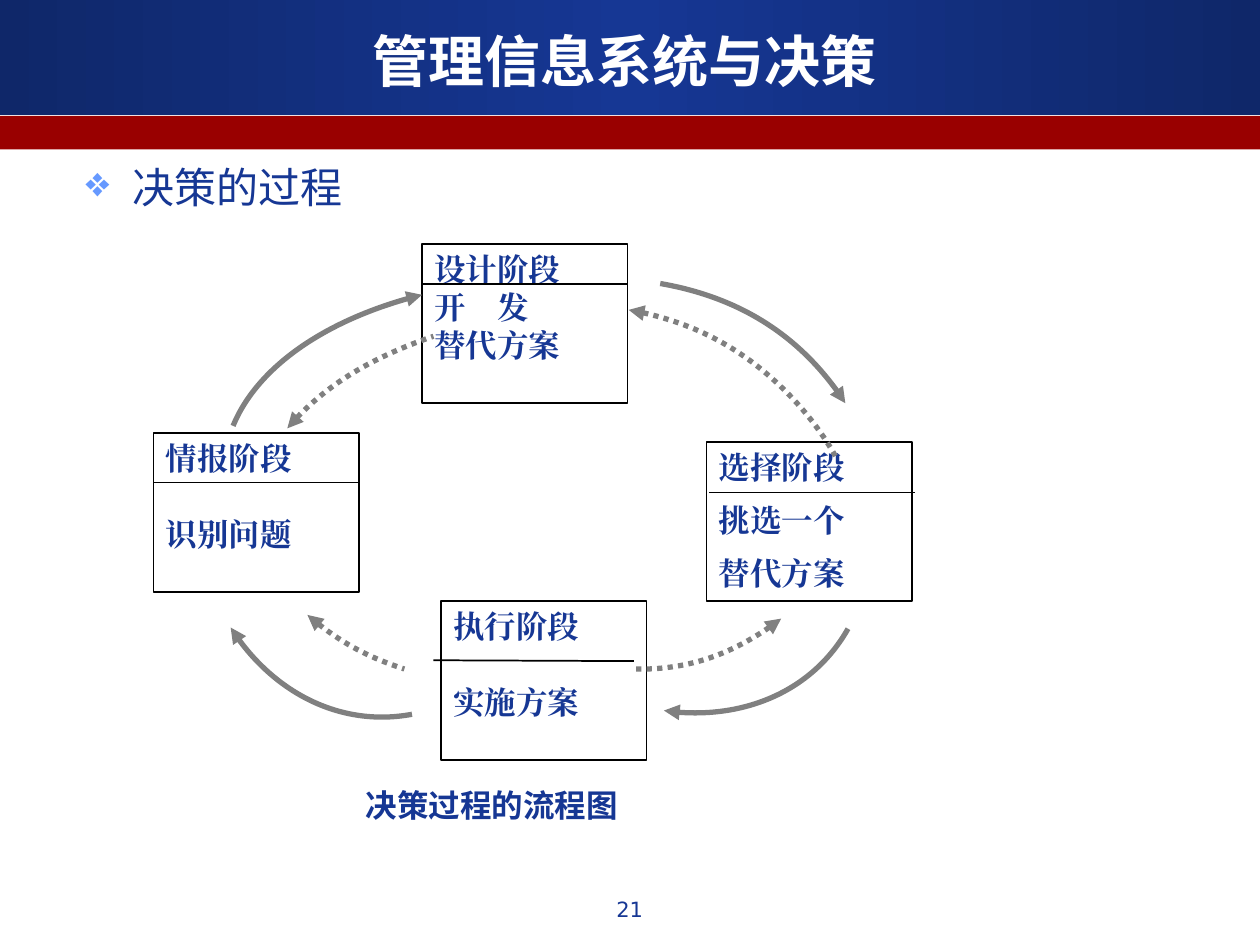
from lxml.etree import SubElement
from pptx import Presentation
from pptx.dml.color import RGBColor
from pptx.enum.dml import MSO_LINE
from pptx.enum.shapes import MSO_CONNECTOR, MSO_SHAPE
from pptx.enum.text import MSO_ANCHOR, PP_ALIGN
from pptx.oxml.ns import qn
from pptx.util import Pt

COLORS = {
    "navy": "163794",
    "red": "990000",
    "bullet": "6699FF",
    "white": "FFFFFF",
    "black": "000000",
    "arrow": "808080",
}
BOX_WIDTH, BOX_HEIGHT = 117.4, 90.7
BLANK_LINE = 21.5

STAGES = [
    (87.8, 247.5, [("情报阶段", {}), ("识别问题", {"space_before": BLANK_LINE})]),
    (241.2, 139.5, [("设计阶段", {}), ("开　发", {}), ("替代方案", {})]),
    (403.7, 252.7, [("选择阶段", {}), ("挑选一个", {"line_spacing": 1.4}),
                    ("替代方案", {"line_spacing": 1.4})]),
    (252, 343.5, [("执行阶段", {}), ("实施方案", {"space_before": BLANK_LINE})]),
]
DIVIDERS = [
    (87.8, 275.7, 205.2, 275.7),
    (241.2, 162.2, 358.6, 162.2),
    (405.4, 281.4, 522.7, 281.4),
    (247.7, 377.3, 362.2, 377.8),
]
SOLID_ARROWS = [
    [(241.2, 168.5), (188.6, 181.4), (146.9, 210.2), (133.2, 243.4)],
    [(483.1, 230.4), (460.1, 194.4), (422.6, 169.9), (377.3, 162)],
    [(379.4, 406.1), (422.6, 412.6), (465.1, 393.8), (484.6, 359.3)],
    [(131.8, 358.6), (154.8, 395.3), (196.6, 415.4), (235.4, 408.2)],
]
DOTTED_ARROWS = [
    [(359.3, 177.1), (392.4, 182.9), (424.1, 198.7), (449.3, 223.9),
     (460.1, 234.7), (470.2, 247.7), (477.4, 260.6)],
    [(446.4, 353.5), (421.2, 373), (391.7, 383), (362.2, 382.3)],
    [(164.2, 244.8), (182.2, 223.2), (211.7, 204.5), (247.7, 192.2)],
    [(175.7, 351.4), (192.2, 365.8), (211, 375.8), (231.1, 382.3)],
]


def rgb(name):
    """Return the named colour."""
    return RGBColor.from_string(COLORS[name])


def write(paragraph, text, font="Times New Roman", size=18, color="navy", bold=True,
          align=PP_ALIGN.LEFT, space_before=0, line_spacing=None, indent=0, bullet=None):
    """Put formatted text into a paragraph."""
    run = paragraph.add_run()
    run.text = text
    run.font.name = font
    run.font.size = Pt(size)
    run.font.bold = bold
    run.font.color.rgb = rgb(color)
    SubElement(run.font._element, qn("a:ea"), typeface=font)
    paragraph.alignment = align
    paragraph.space_before = Pt(space_before)
    if line_spacing:
        paragraph.line_spacing = line_spacing
    properties = paragraph._p.get_or_add_pPr()
    properties.set("marL", str(Pt(indent)))
    if bullet:
        properties.set("indent", str(-Pt(indent)))
        bullet_color = SubElement(properties, qn("a:buClr"))
        SubElement(bullet_color, qn("a:srgbClr"), val=COLORS["bullet"])
        SubElement(properties, qn("a:buChar"), char=bullet)


def add_text(slide, left, top, width, height, text, anchor=MSO_ANCHOR.TOP, **style):
    """Add a wrapping text box with one paragraph."""
    shape = slide.shapes.add_textbox(Pt(left), Pt(top), Pt(width), Pt(height))
    frame = shape.text_frame
    frame.word_wrap = True
    frame.vertical_anchor = anchor
    write(frame.paragraphs[0], text, **style)


def add_rectangle(slide, left, top, width, height, fill):
    """Add a plain rectangle without outline."""
    shape = slide.shapes.add_shape(
        MSO_SHAPE.RECTANGLE, Pt(left), Pt(top), Pt(width), Pt(height))
    shape.shadow.inherit = False
    shape.fill.solid()
    shape.fill.fore_color.rgb = rgb(fill)
    shape.line.fill.background()
    return shape


def add_banner(slide):
    """Add the title band, darker at both ends, and the red band below it."""
    band = add_rectangle(slide, 0, 0, 720, 65.5, "navy")
    band.fill.gradient()
    band.fill.gradient_angle = 0
    stops = band._element.spPr.find(qn("a:gradFill")).find(qn("a:gsLst"))
    for stop in list(stops):
        stops.remove(stop)
    for position, shade in ((0, 46275), (50000, None), (100000, 46275)):
        stop = SubElement(stops, qn("a:gs"), pos=str(position))
        color = SubElement(stop, qn("a:srgbClr"), val=COLORS["navy"])
        if shade:
            SubElement(color, qn("a:shade"), val=str(shade))
    add_rectangle(slide, 0, 66.2, 720, 19.2, "red")


def add_stage(slide, left, top, lines):
    """Add an outlined stage box with its lines of text."""
    shape = add_rectangle(slide, left, top, BOX_WIDTH, BOX_HEIGHT, "white")
    shape.line.color.rgb = rgb("black")
    shape.line.width = Pt(1)
    frame = shape.text_frame
    frame.word_wrap = True
    frame.vertical_anchor = MSO_ANCHOR.TOP
    for index, (text, style) in enumerate(lines):
        paragraph = frame.add_paragraph() if index else frame.paragraphs[0]
        write(paragraph, text, align=PP_ALIGN.JUSTIFY, **style)


def add_divider(slide, *ends):
    """Add the line under a stage heading."""
    connector = slide.shapes.add_connector(
        MSO_CONNECTOR.STRAIGHT, *(Pt(value) for value in ends))
    connector.line.color.rgb = rgb("black")
    connector.line.width = Pt(1)
    SubElement(connector._element.spPr, qn("a:effectLst"))


def add_curved_arrow(slide, points, dotted=False):
    """Add a Bezier curve with an arrowhead at its first point."""
    start, *rest = [(Pt(x), Pt(y)) for x, y in points]
    builder = slide.shapes.build_freeform(*start)
    builder.add_line_segments(rest, close=False)
    shape = builder.convert_to_shape()
    shape.shadow.inherit = False
    shape.fill.background()
    shape.line.color.rgb = rgb("arrow")
    shape.line.width = Pt(3)
    if dotted:
        shape.line.dash_style = MSO_LINE.ROUND_DOT
    SubElement(shape.line._get_or_add_ln(), qn("a:headEnd"), type="triangle")
    outline = next(shape._element.iter(qn("a:path")))
    segments = outline.findall(qn("a:lnTo"))
    for first in range(0, len(segments), 3):
        curve = SubElement(outline, qn("a:cubicBezTo"))
        for segment in segments[first:first + 3]:
            curve.append(segment[0])
            outline.remove(segment)


def main():
    """Build the decision process slide."""
    presentation = Presentation()
    presentation.slide_width, presentation.slide_height = Pt(720), Pt(540)
    slide = presentation.slides.add_slide(presentation.slide_layouts[6])
    add_banner(slide)
    add_text(slide, 41.8, 88.6, 648, 413.3, "决策的过程", font="Noto Sans CJK SC",
             size=24, bold=False, indent=27, bullet="❖")
    add_text(slide, 23.8, 12.2, 666, 44.6, "管理信息系统与决策", anchor=MSO_ANCHOR.MIDDLE,
             font="DejaVu Sans", size=32, color="white", align=PP_ALIGN.CENTER)
    add_text(slide, 275.8, 509, 168, 25.2, "21", font="DejaVu Sans", size=12,
             bold=False, align=PP_ALIGN.CENTER)
    for stage in STAGES:
        add_stage(slide, *stage)
    for divider in DIVIDERS:
        add_divider(slide, *divider)
    for points in SOLID_ARROWS:
        add_curved_arrow(slide, points)
    for points in DOTTED_ARROWS:
        add_curved_arrow(slide, points, dotted=True)
    add_text(slide, 87.8, 445.7, 538.6, 28.8, "决策过程的流程图", font="Arial", indent=114)
    presentation.save("out.pptx")


if __name__ == "__main__":
    main()
